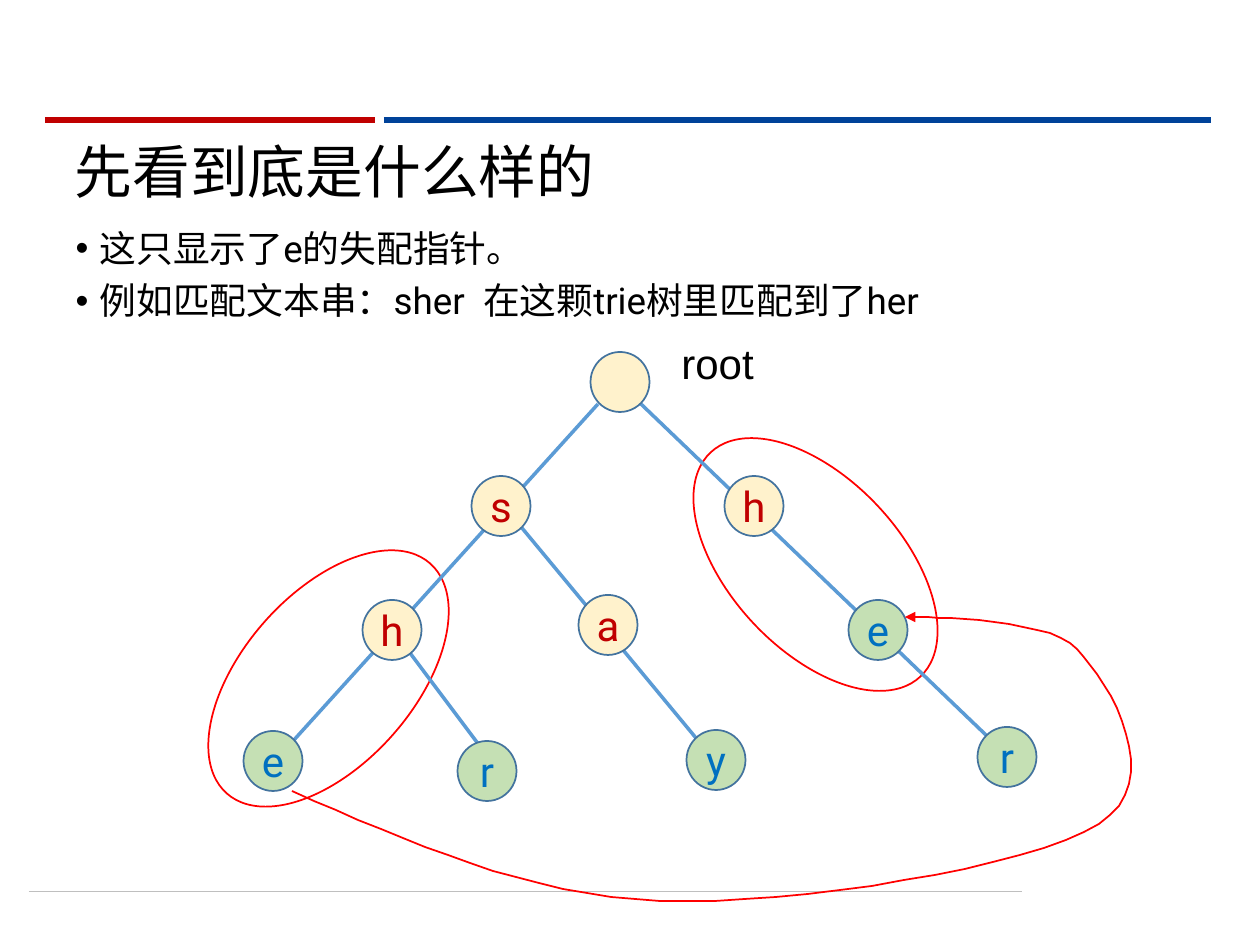
from lxml import etree
from pptx import Presentation
from pptx.dml.color import RGBColor
from pptx.enum.shapes import MSO_CONNECTOR, MSO_SHAPE
from pptx.enum.text import MSO_ANCHOR, MSO_AUTO_SIZE, PP_ALIGN
from pptx.oxml.ns import qn
from pptx.util import Pt

PX = 914400 / 126
STRAIGHT = MSO_CONNECTOR.STRAIGHT
ELLIPSE = MSO_SHAPE.OVAL
TOP, MIDDLE = MSO_ANCHOR.TOP, MSO_ANCHOR.MIDDLE
LEFT, CENTER = PP_ALIGN.LEFT, PP_ALIGN.CENTER
NO_AUTOFIT = MSO_AUTO_SIZE.NONE

BLACK = RGBColor(0x00, 0x00, 0x00)
GRAY = RGBColor(0xBF, 0xBF, 0xBF)
NAVY = RGBColor(0x00, 0x42, 0x99)
DARK_RED = RGBColor(0xC0, 0x00, 0x00)
RED = RGBColor(0xFF, 0x00, 0x00)
EDGE_BLUE = RGBColor(0x5B, 0x9B, 0xD5)
OUTLINE = RGBColor(0x43, 0x73, 0x9E)
LETTER_BLUE = RGBColor(0x00, 0x70, 0xC0)
CREAM = RGBColor(0xFF, 0xF2, 0xCC)
GREEN = RGBColor(0xC5, 0xE0, 0xB4)

# Content, all lengths in px
TITLE = "先看到底是什么样的"
BULLETS = ["这只显示了e的失配指针。", "例如匹配文本串：sher  在这颗trie树里匹配到了her"]
RULES = [  # start, end, colour, points
    ((29, 891), (1022, 891), GRAY, 0.5),
    ((384, 120), (1211, 120), NAVY, 3),
    ((45, 120), (375, 120), DARK_RED, 3),
]
EDGES = [
    ((598, 404), (294, 740)),
    ((641, 404), (987, 736)),
    ((522, 528), (696, 738)),
    ((410, 653), (488, 757)),
]
NODE_SIZE = (59, 60)
NODES = [  # letter, centre, ends a word
    ("", (620, 382), False),
    ("s", (501, 506), False),
    ("h", (754, 506), False),
    ("h", (392, 630), False),
    ("a", (608, 625), False),
    ("e", (878, 630), True),
    ("e", (273, 761), True),
    ("r", (487, 771), True),
    ("y", (716, 760), True),
    ("r", (1007, 757), True),
]
RINGS = [((243, 525, 171, 307), 41.5), ((730, 411, 171, 307), 136.9)]
FAIL_START = (292, 791)
FAIL_CURVES = [  # two control points and an end point
    ((410, 843), (527, 895), (660, 901)),
    ((795, 906), (1029, 867), (1099, 824)),
    ((1168, 782), (1110, 683), (1077, 649)),
    ((1046, 615), (905, 617), (905, 617)),
]
CURVE_STEPS = 16


def emu(*lengths):
    return [round(length * PX) for length in lengths]


def write(frame, lines, size, color=BLACK, font="Roboto", align=LEFT,
          anchor=TOP, wrap=True, spacing=None, before=0, bullet_indent=0):
    frame.auto_size = NO_AUTOFIT
    frame.word_wrap = wrap
    frame.vertical_anchor = anchor
    for index, text in enumerate(lines):
        para = frame.paragraphs[0] if index == 0 else frame.add_paragraph()
        para.alignment = align
        para.line_spacing = spacing
        para.space_before = Pt(before)
        if bullet_indent:
            properties = para._p.get_or_add_pPr()
            indent = round(bullet_indent * PX)
            properties.set("marL", str(indent))
            properties.set("indent", str(-indent))
            etree.SubElement(properties, qn("a:buFont")).set("typeface", "Arial")
            etree.SubElement(properties, qn("a:buChar")).set("char", "•")
        span = para.add_run()
        span.text = text
        span.font.size = Pt(size)
        span.font.name = font
        span.font.color.rgb = color


def add_line(page, start, end, color, width):
    line = page.shapes.add_connector(STRAIGHT, *emu(*start, *end))
    line.line.color.rgb = color
    line.line.width = Pt(width)
    etree.SubElement(line._element.spPr, qn("a:effectLst"))


def style(shape, outline, fill=None):
    shape.shadow.inherit = False
    if fill is None:
        shape.fill.background()
    else:
        shape.fill.solid()
        shape.fill.fore_color.rgb = fill
    shape.line.color.rgb = outline
    shape.line.width = Pt(1)


def curve_points(start, curves):
    for first, second, end in curves:
        for step in range(1, CURVE_STEPS + 1):
            t = step / CURVE_STEPS
            u = 1 - t
            yield tuple(u**3 * a + 3 * u * u * t * b + 3 * u * t * t * c + t**3 * d
                        for a, b, c, d in zip(start, first, second, end))
        start = end


def place(shape, *box):
    shape.left, shape.top, shape.width, shape.height = emu(*box)


deck = Presentation()
deck.slide_width, deck.slide_height = emu(1260, 945)
page = deck.slides.add_slide(deck.slide_layouts[1])

# Rules, title and bullets
for rule in RULES:
    add_line(page, *rule)
title, body = page.placeholders
place(title, 62, 96, 1134, 157)
write(title.text_frame, [TITLE], 33, anchor=MIDDLE, spacing=0.9)
place(body, 63, 224, 1134, 624)
write(body.text_frame, BULLETS, 21, spacing=0.9, before=7.5, bullet_indent=24)

# Rings around the matching branches
for box, angle in RINGS:
    ring = page.shapes.add_shape(ELLIPSE, *emu(*box))
    ring.rotation = angle
    style(ring, RED)

# Trie: edges first, nodes on top
for start, end in EDGES:
    add_line(page, start, end, EDGE_BLUE, 2)
width, height = NODE_SIZE
for letter, (x, y), is_word in NODES:
    node = page.shapes.add_shape(
        ELLIPSE, *emu(x - width / 2, y - height / 2, width, height))
    style(node, OUTLINE, GREEN if is_word else CREAM)
    if letter:
        frame = node.text_frame
        frame.margin_left = frame.margin_right = 0
        frame.margin_top = frame.margin_bottom = 0
        write(frame, [letter], 24, color=LETTER_BLUE if is_word else DARK_RED,
              align=CENTER, anchor=MIDDLE)
label = page.shapes.add_textbox(*emu(669, 331, 98, 63))
write(label.text_frame, ["root"], 24, font="Arial", wrap=False)

# Failure pointer
builder = page.shapes.build_freeform(*FAIL_START, scale=PX)
builder.add_line_segments(curve_points(FAIL_START, FAIL_CURVES), close=False)
pointer = builder.convert_to_shape()
style(pointer, RED)
etree.SubElement(pointer.line._get_or_add_ln(), qn("a:tailEnd")).set("type", "triangle")

deck.save("out.pptx")
